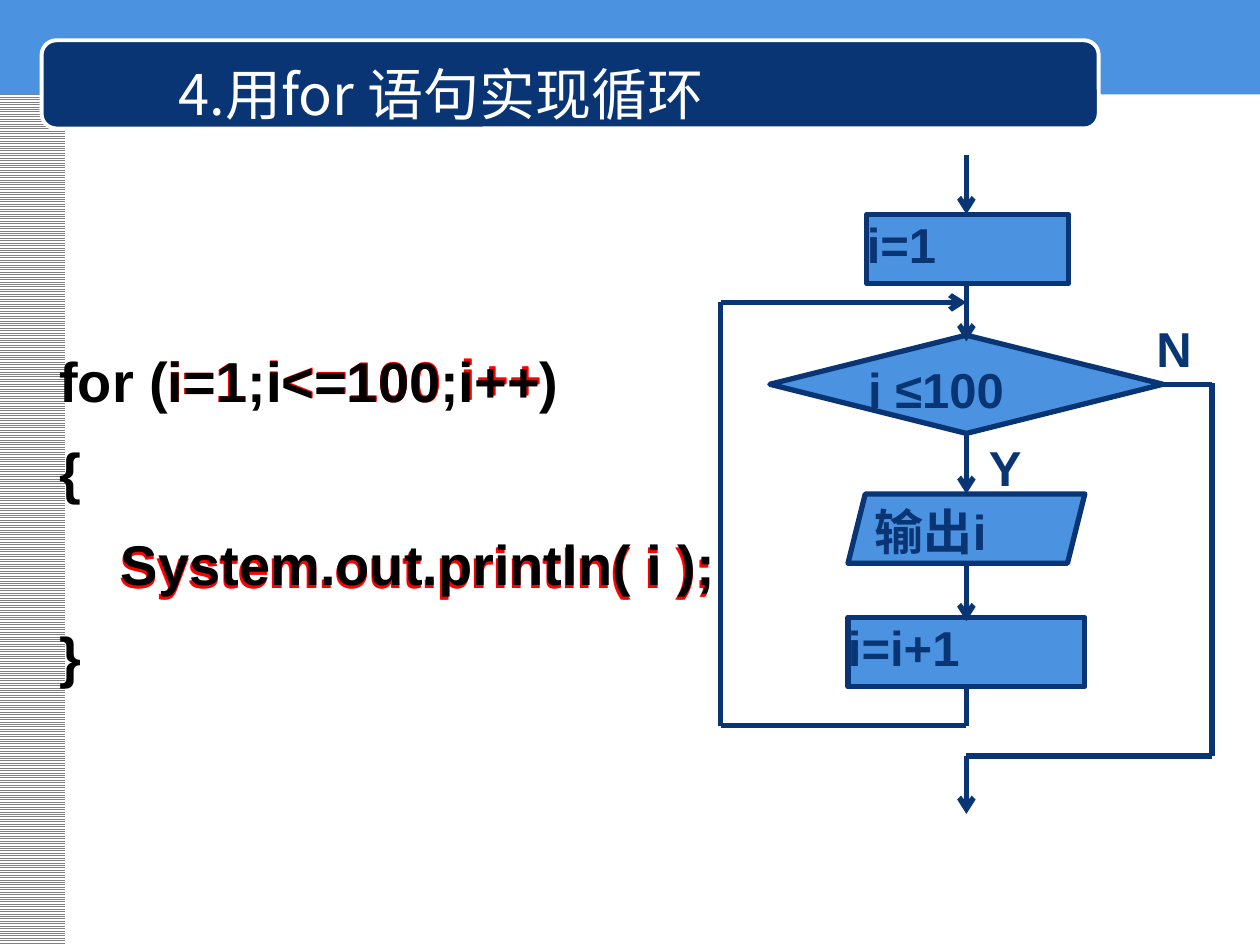
from lxml import etree
from pptx import Presentation
from pptx.dml.color import RGBColor
from pptx.enum import dml, shapes, text
from pptx.oxml.ns import qn
from pptx.util import Inches, Pt

NAVY, BLUE, WHITE, RED, BLACK = "093575", "4B92E1", "FFFFFF", "FF0000", "000000"
CJK = "Noto Sans CJK SC"
SHAPE = shapes.MSO_SHAPE
rgb = RGBColor.from_string


def style(p, size, color, bold=True, font="Arial"):
    for r in p.runs:
        r.font.size, r.font.bold, r.font.name = Pt(size), bold, font
        r.font.color.rgb = rgb(color)
        etree.SubElement(r.font._element, qn("a:ea"), typeface=CJK)


def style_code(p, color, left=0.38, first=-0.38):
    p.line_spacing = 1.2
    pPr = p._p.get_or_add_pPr()
    pPr.set("marL", str(Inches(left)))
    pPr.set("indent", str(Inches(first)))
    before = etree.SubElement(pPr, qn("a:spcBef"))
    etree.SubElement(before, qn("a:spcPct"), val="20000")
    etree.SubElement(pPr, qn("a:buNone"))
    style(p, 32, color)


prs = Presentation()
prs.slide_width, prs.slide_height = Inches(10), Inches(7.5)
s = prs.slides.add_slide(prs.slide_layouts[1])
title, body = s.placeholders

# Side strip, top band and title bar
for kind, box, fill, line in [
    (SHAPE.RECTANGLE, (-0.01, 0, 0.53, 7.5), None, None),
    (SHAPE.RECTANGLE, (0, 0, 10.01, 0.75), BLUE, None),
    (SHAPE.ROUNDED_RECTANGLE, (0.33, 0.32, 8.39, 0.7), NAVY, WHITE),
]:
    sp = s.shapes.add_shape(kind, *map(Inches, box))
    sp.shadow.inherit = False
    if fill:
        sp.fill.solid()
        sp.fill.fore_color.rgb = rgb(fill)
    else:
        sp.fill.patterned()
        sp.fill.pattern = dml.MSO_PATTERN.LIGHT_HORIZONTAL
        sp.fill.fore_color.rgb = rgb("808080")
        sp.fill.back_color.rgb = rgb(WHITE)
    if line:
        sp.line.color.rgb = rgb(line)
        sp.line.width = Pt(2.25)
    else:
        sp.line.fill.background()

# Flowchart steps
for kind, box, label in [
    (SHAPE.FLOWCHART_PROCESS, (6.88, 1.7, 1.6, 0.55), "i=1"),
    (SHAPE.FLOWCHART_DECISION, (6.11, 2.66, 3.12, 0.78), "i ≤100"),
    (SHAPE.PARALLELOGRAM, (6.73, 3.92, 1.88, 0.55), "输出i"),
    (SHAPE.FLOWCHART_PROCESS, (6.73, 4.9, 1.88, 0.55), "i=i+1"),
]:
    sp = s.shapes.add_shape(kind, *map(Inches, box))
    sp.shadow.inherit = False
    sp.fill.solid()
    sp.fill.fore_color.rgb = rgb(BLUE)
    sp.line.color.rgb = rgb(NAVY)
    sp.line.width = Pt(3)
    tf = sp.text_frame
    tf.text = label
    tf.word_wrap = False
    tf.vertical_anchor = text.MSO_ANCHOR.TOP
    tf.margin_left = tf.margin_top = tf.margin_right = tf.margin_bottom = 0
    tf.paragraphs[0].alignment = text.PP_ALIGN.LEFT
    style(tf.paragraphs[0], 28, NAVY)

# Flow lines: from, to, arrowhead at the end
MID, LOOP, EXIT = 7.67, 5.72, 9.62
for x1, y1, x2, y2, arrow in [
    (MID, 1.23, MID, 1.7, True),
    (MID, 2.25, MID, 2.71, True),
    (MID, 3.45, MID, 3.92, True),
    (MID, 4.46, MID, 4.93, True),
    (MID, 5.45, MID, 5.76, False),
    (MID, 5.76, LOOP, 5.76, False),
    (LOOP, 5.76, LOOP, 2.4, False),
    (LOOP, 2.4, MID, 2.4, True),
    (EXIT, 3.05, 9.18, 3.05, False),
    (EXIT, 3.04, EXIT, 6, False),
    (EXIT, 6, MID, 6, False),
    (MID, 6, MID, 6.46, True),
]:
    c = s.shapes.add_connector(shapes.MSO_CONNECTOR.STRAIGHT,
                               *map(Inches, (x1, y1, x2, y2)))
    c.line.color.rgb = rgb(NAVY)
    c.line.width = Pt(3)
    if arrow:
        etree.SubElement(c.line._get_or_add_ln(), qn("a:tailEnd"), type="arrow")
    etree.SubElement(c._element.spPr, qn("a:effectLst"))

# Branch labels
for label, x, y in [("Y", 7.75, 3.42), ("N", 9.08, 2.48)]:
    tf = s.shapes.add_textbox(*map(Inches, (x, y, 0.55, 0.57))).text_frame
    tf.text = label
    tf.word_wrap = True
    style(tf.paragraphs[0], 28, NAVY)

# Red highlights behind the code, in two layers
for layer in range(2):
    for code, x, y, w, h in [
        ("System.out.println( i );", 0.86 - 0.01 * layer, 4.07, 4.99, 0.78),
        ("i++", 3.56, 2.57 + 0.01 * layer, 1.02, 0.78),
        ("i<=100", 2.02, 2.59, 1.8, 0.7),
        ("i=1", 1.23, 2.59, 1.02, 0.62),
    ]:
        tf = s.shapes.add_textbox(*map(Inches, (x, y, w, h * (1 + 0.3 * layer)))).text_frame
        tf.text = code
        tf.word_wrap = True
        style_code(tf.paragraphs[0], RED)

# Code and title, in front of everything else
for sp, box, content in [
    (body, (0.37, 2.59, 6.6, 4.05),
     "for (i=1;i<=100;i++)\n{\nSystem.out.println( i );\n}"),
    (title, (0.37, 0.43, 6.26, 0.62), "4.用for 语句实现循环"),
]:
    sp.left, sp.top, sp.width, sp.height = map(Inches, box)
    sp.text_frame.text = content
    sp.text_frame.word_wrap = True
    sp.text_frame.auto_size = text.MSO_AUTO_SIZE.NONE
    s.shapes._spTree.append(sp._element)

for p in body.text_frame.paragraphs:
    if p.text.startswith("System"):
        style_code(p, BLACK, 0.49, 0)
    else:
        style_code(p, BLACK)

title.text_frame.vertical_anchor = text.MSO_ANCHOR.MIDDLE
title.text_frame.paragraphs[0].alignment = text.PP_ALIGN.CENTER
style(title.text_frame.paragraphs[0], 32, WHITE, False, CJK)

prs.save("out.pptx")
